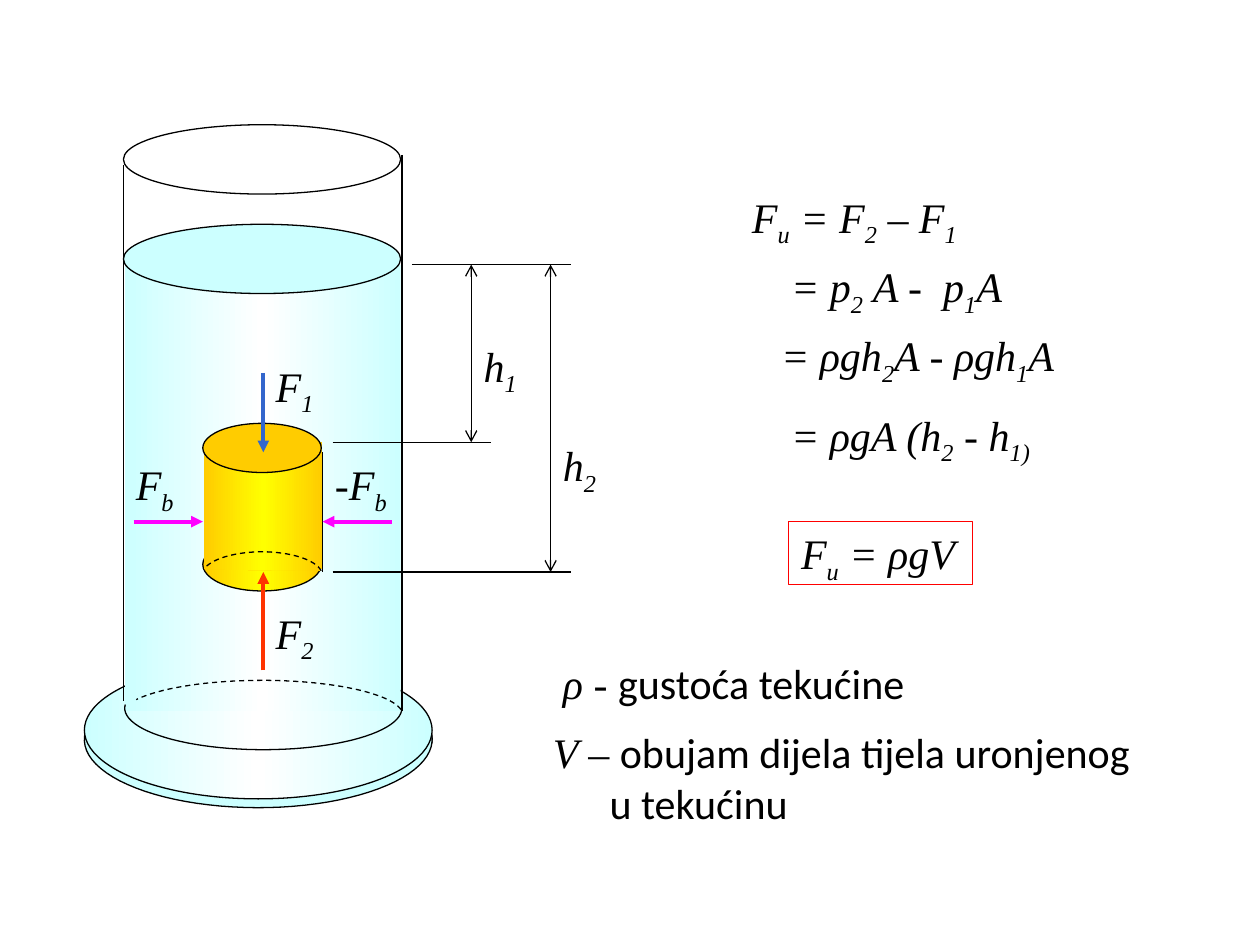
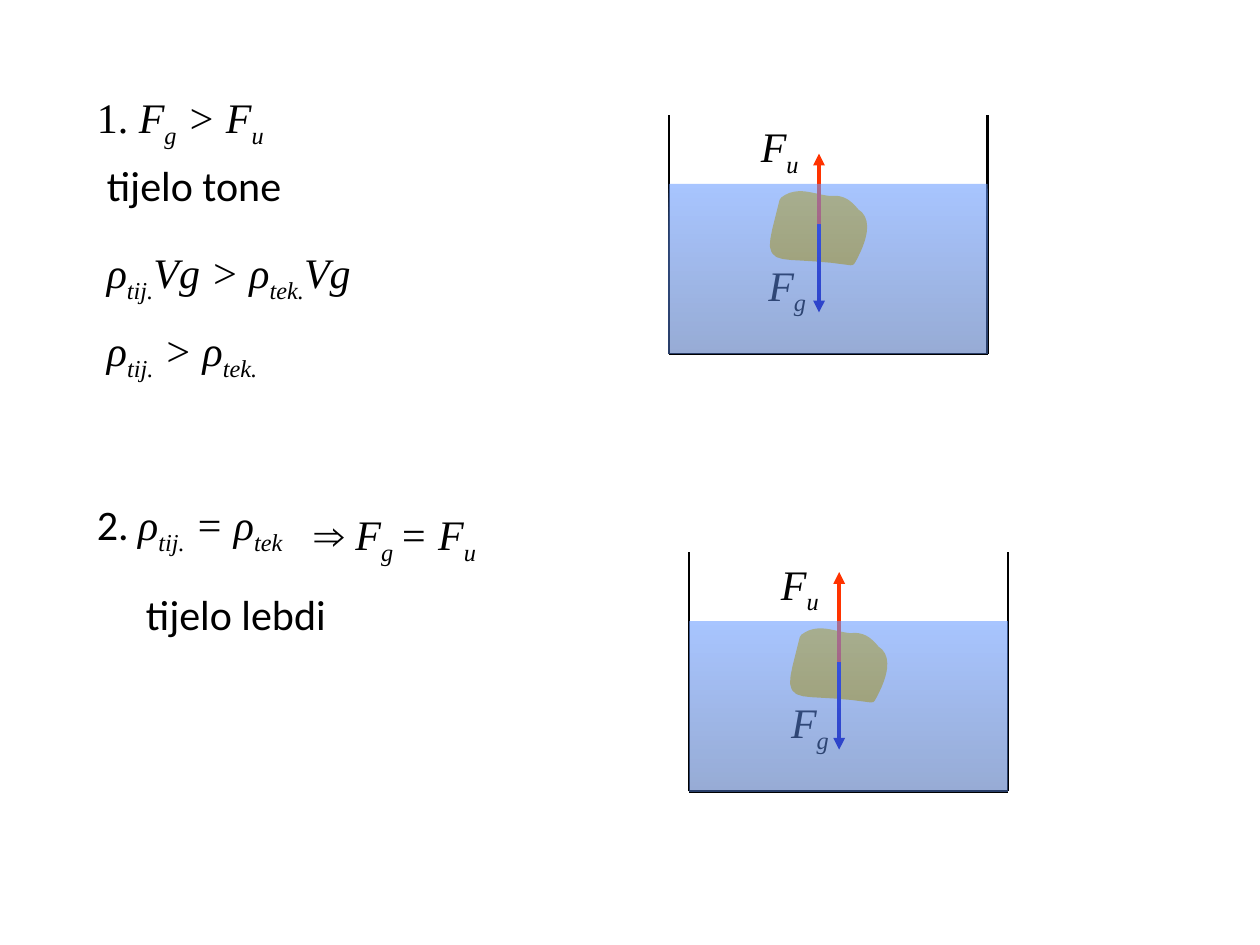
from math import cos, radians, sin

from lxml.etree import SubElement
from pptx import Presentation
from pptx.dml.color import RGBColor
from pptx.enum.dml import MSO_LINE
from pptx.enum.shapes import MSO_CONNECTOR, MSO_SHAPE
from pptx.enum.text import MSO_AUTO_SIZE
from pptx.oxml.ns import qn
from pptx.util import Inches, Pt

HUES = {
    "ink": "000000", "white": "FFFFFF", "glass": "CCFFFF",
    "gold": "FFCC00", "yellow": "FFFF00", "down": "3366CC",
    "up": "FF3300", "side": "FF00FF", "weight": "0000CC",
    "frame": "FF0000", "sea": "6699FF", "deep": "496DB6",
}
GLASS = ("glass", "white", "glass")
GOLD = ("gold", "yellow", "gold")
FONTS = {"math": ("Times New Roman", True),
         "plain": ("Times New Roman", False),
         "word": ("Calibri", False)}


def hue(name):
    return RGBColor.from_string(HUES[name])


def curve(start, *parts, steps=12):
    """Points along a chain of cubic curves, each given by three points."""
    dots = [start]
    for b, c, d in parts:
        a = dots[-1]
        for i in range(1, steps + 1):
            t = i / steps
            u = 1 - t
            dots.append(tuple(
                u**3 * a[k] + 3 * u * u * t * b[k] + 3 * u * t * t * c[k] + t**3 * d[k]
                for k in (0, 1)))
    return dots


class Board:
    def __init__(self):
        self.deck = Presentation()
        self.deck.slide_width, self.deck.slide_height = Inches(10), Inches(7.5)

    def page(self):
        self.items = self.deck.slides.add_slide(self.deck.slide_layouts[6]).shapes

    def paint(self, shape, fill=None, line=None, width=0.75, angle=0, alpha=None):
        """Fill with one colour name or a tuple of names for a gradient."""
        shape.shadow.inherit = False
        if isinstance(fill, tuple):
            shape.fill.gradient()
            shape.fill.gradient_angle = angle
            stops = shape._element.spPr.find(qn("a:gradFill")).find(qn("a:gsLst"))
            for old in list(stops):
                stops.remove(old)
            for i, name in enumerate(fill):
                stop = SubElement(stops, qn("a:gs"), pos=str(100000 * i // (len(fill) - 1)))
                tint = SubElement(stop, qn("a:srgbClr"), val=HUES[name])
                if alpha:
                    SubElement(tint, qn("a:alpha"), val=str(alpha * 1000))
        elif fill:
            shape.fill.solid()
            shape.fill.fore_color.rgb = hue(fill)
        else:
            shape.fill.background()
        if line:
            shape.line.color.rgb = hue(line)
            shape.line.width = Pt(width)
        else:
            shape.line.fill.background()

    def form(self, kind, at, fill=None, line=None, **more):
        shape = self.items.add_shape(kind, *map(Inches, at))
        self.paint(shape, fill, line, **more)

    def oval(self, at, fill=None):
        self.form(MSO_SHAPE.OVAL, at, fill, "ink")

    def free(self, dots, close, fill=None, line="ink", width=0.75):
        dots = [(Inches(x), Inches(y)) for x, y in dots]
        pen = self.items.build_freeform(*dots[0])
        pen.add_line_segments(dots[1:], close=close)
        shape = pen.convert_to_shape()
        self.paint(shape, fill, line, width)
        return shape

    def arc(self, mid, size, start, end, fill=None, dash=False):
        """Open elliptic arc; angles in degrees, clockwise from the right."""
        turns = [radians(start + (end - start) * i / 48) for i in range(49)]
        dots = [(mid[0] + size[0] * cos(t), mid[1] + size[1] * sin(t)) for t in turns]
        shape = self.free(dots, False, fill)
        if dash:
            shape.line.dash_style = MSO_LINE.DASH

    def line(self, x1, y1, x2, y2, color="ink", width=0.75, head=None, tail=None):
        link = self.items.add_connector(
            MSO_CONNECTOR.STRAIGHT, *map(Inches, (x1, y1, x2, y2)))
        link.line.color.rgb = hue(color)
        link.line.width = Pt(width)
        edge = link.line._get_or_add_ln()
        for tag, kind in (("a:headEnd", head), ("a:tailEnd", tail)):
            if kind:
                SubElement(edge, qn(tag), type=kind)
        SubElement(link._element.spPr, qn("a:effectLst"))

    def force(self, x1, y1, x2, y2, color):
        self.line(x1, y1, x2, y2, color, 2.25, tail="triangle")

    def text(self, at, *rows, wrap=False, frame=None, inset=0):
        """Rows hold (font, text) pairs; every second part between bars is a subscript."""
        box = self.items.add_textbox(*map(Inches, at))
        if frame:
            self.paint(box, "white", frame)
        body = box.text_frame
        body.word_wrap = wrap
        body.auto_size = MSO_AUTO_SIZE.SHAPE_TO_FIT_TEXT
        for i, row in enumerate(rows):
            para = body.add_paragraph() if i else body.paragraphs[0]
            if i and inset:
                para._p.get_or_add_pPr().set("marL", str(Inches(inset)))
            for style, words in row:
                for k, part in enumerate(words.split("|")):
                    if part:
                        self.run(para, part, style, k % 2)

    def run(self, para, part, style, sub):
        run = para.add_run()
        run.text = part
        run.font.name, run.font.italic = FONTS[style]
        run.font.size = Pt(24)
        run.font.color.rgb = hue("ink")
        if sub:
            run._r.get_or_add_rPr().set("baseline", "-25000")

    def math(self, x, y, width, words, **more):
        self.text((x, y, width, 0.5), [("math", words)], **more)

    def word(self, x, y, width, words):
        self.text((x, y, width, 0.5), [("word", words)])

    def tank(self, x, y, rise, shift):
        """Open tank with a stone under water; x, y is the top left corner."""
        wide, tall = 2.53, 1.9
        hub, mid = x + 1.19, y + 0.87
        stone = curve(
            (1.26, 0.67), ((1.12, 0.67), (1, 0.61), (0.89, 0.71)),
            ((0.8, 1.3), (0.78, 1.1), (1.47, 1.14)),
            ((1.52, 1.03), (1.6, 0.81), (1.47, 0.75)),
            ((1.4, 0.68), (1.35, 0.65), (1.26, 0.67)))
        blob = self.free([(x + a, y + b) for a, b in stone], True, "gold", "gold", 4.5)
        blob.rotation = 5.3
        self.force(hub, mid, hub, mid + 0.7, "weight")
        self.force(hub, mid, hub, mid - rise, "up")
        self.line(x, y + tall, x + wide, y + tall, width=1.5)
        for side in (x, x + wide):
            self.line(side, y + tall, side, y, width=1.5)
        self.math(x + 0.63, y, 0.57, "F|u")
        self.math(x + shift, y + 1.1, 0.57, "F|g")
        self.form(MSO_SHAPE.RECTANGLE, (x, y + 0.55, wide, tall - 0.55),
                  ("sea", "deep"), angle=270, alpha=57)


def vessel(b):
    b.oval((0.98, 0.99, 2.2, 0.55))
    b.oval((0.75, 5.4, 2.68, 0.93), "white")
    b.arc((2.05, 5.87), (1.38, 0.54), 187, -6, "glass")
    b.arc((2.13, 5.74), (1.06, 0.29), 194, -20)
    b.oval((0.67, 5.25, 2.76, 1.09), GLASS)
    b.form(MSO_SHAPE.RECTANGLE, (0.99, 2.1, 2.19, 3.54), GLASS)
    b.arc((2.09, 5.62), (1.1, 0.33), 185, 0)
    b.oval((0.98, 1.78, 2.2, 0.55), "glass")


def solid(b):
    for x in (2.56, 1.69):
        b.line(x, 3.59, x, 4.54)
    b.oval((1.61, 4.27, 0.94, 0.42), GOLD)
    b.form(MSO_SHAPE.RECTANGLE, (1.62, 3.51, 0.94, 1.01), GOLD)
    b.oval((1.61, 3.36, 0.94, 0.39), "gold")
    b.force(2.09, 2.96, 2.09, 3.59, "down")
    b.force(2.09, 5.32, 2.09, 4.54, "up")
    b.arc((2.08, 4.57), (0.48, 0.19), -12, -165, GOLD, dash=True)
    b.arc((2.08, 5.68), (1.12, 0.28), -10, -153, dash=True)
    b.force(3.11, 4.14, 2.56, 4.14, "side")
    b.force(1.06, 4.14, 1.61, 4.14, "side")
    for x, y, width, name in ((2.09, 2.81, 0.6, "F|1"), (2.09, 4.77, 0.6, "F|2"),
                              (0.98, 3.59, 0.6, "F|b"), (2.56, 3.59, 0.71, "-F|b")):
        b.math(x, y, width, name)


def depths(b):
    top = 2.1
    for x1, x2, y in ((2.64, 3.9, 3.51), (2.64, 4.53, 4.54), (3.27, 4.53, top)):
        b.line(x1, y, x2, y)
    for x, low, y, name in ((3.74, 3.51, 2.65, "h|1"), (4.37, 4.54, 3.44, "h|2")):
        b.line(x, top, x, low, head="arrow", tail="arrow")
        b.math(x, y, 0.56, name)
    b.line(3.19, 1.23, 3.19, 5.64)
    b.line(0.98, 1.31, 0.98, 5.56)


def buoyancy(b):
    b.page()
    vessel(b)
    solid(b)
    depths(b)
    b.math(5.87, 1.47, 1.87, "F|u| = F|2| – F|1")
    b.math(6.18, 2.02, 1.92, "= p|2| A -  p|1|A")
    b.math(6.1, 2.57, 2.45, "= ρgh|2|A - ρgh|1|A")
    b.math(6.18, 3.2, 2.16, "= ρgA (h|2| - h|1)")
    b.math(6.26, 4.14, 1.46, "F|u| = ρgV", frame="frame")
    b.text((4.37, 5.17, 3.03, 0.5), [("math", "ρ - "), ("word", "gustoća tekućine")])
    b.text((4.29, 5.72, 4.9, 0.91),
           [("math", "V – "), ("word", "obujam dijela tijela uronjenog")],
           [("word", "u tekućinu")], inset=0.45)


def cases(b):
    b.page()
    b.text((0.67, 0.68, 1.56, 0.5), [("plain", "1. "), ("math", "F|g| > F|u")])
    b.word(0.75, 1.22, 1.63, "tijelo tone")
    b.math(0.75, 1.91, 2.26, "ρ|tij.|Vg > ρ|tek.|Vg")
    b.math(0.75, 2.53, 1.52, "ρ|tij.| > ρ|tek.")
    b.text((0.67, 3.91, 1.83, 0.5),
           [("word", "2. "), ("math", "ρ|tij.| = ρ|tek")], wrap=True)
    b.text((2.4, 3.99, 1.73, 0.5),
           [("plain", "⇒ "), ("math", "F|g |= F|u")], wrap=True)
    b.word(1.06, 4.62, 1.69, "tijelo lebdi")
    b.tank(5.31, 0.91, 0.56, 0.69)
    b.tank(5.47, 4.38, 0.71, 0.71)


def main():
    board = Board()
    buoyancy(board)
    cases(board)
    board.deck.save("out.pptx")


if __name__ == "__main__":
    main()
